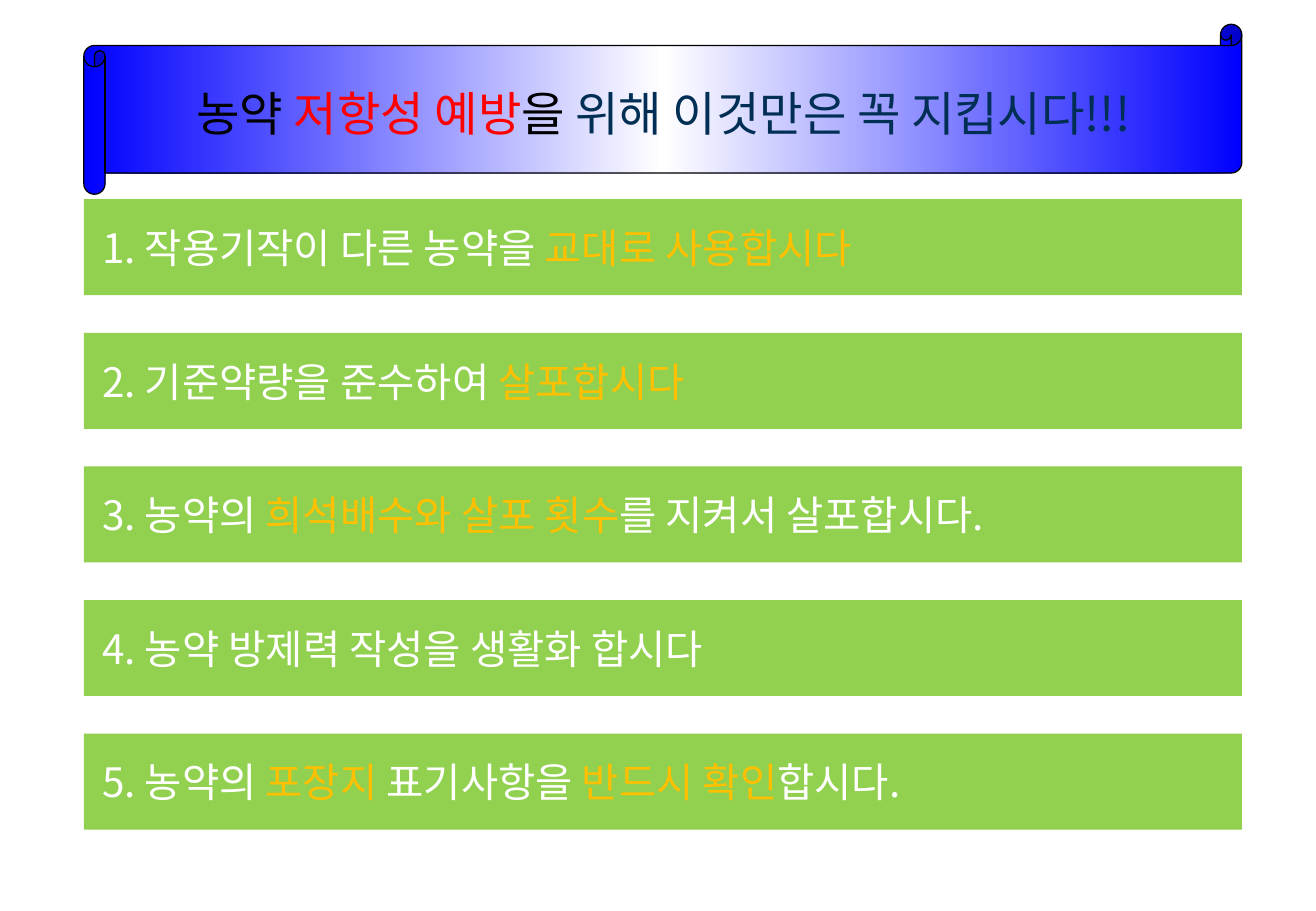
"""Build a slide of five rules for preventing pesticide resistance."""
import copy

import lxml.etree
import pptx
import pptx.dml.color
import pptx.enum.shapes
import pptx.enum.text
import pptx.oxml
import pptx.oxml.ns
import pptx.util

INCH = pptx.util.Inches
SHAPE = pptx.enum.shapes.MSO_SHAPE
ANCHOR = pptx.enum.text.MSO_ANCHOR
ALIGN = pptx.enum.text.PP_ALIGN
FONT = "Noto Sans CJK KR"
HUES = {"white": "FFFFFF", "gold": "FFC000", "green": "92D050", "blue": "0000FF",
        "black": "000000", "red": "FF0000", "navy": "002E54"}
LEFT, WIDTH = 0.69, 9.53
TOP, PITCH, HIGH = 1.64, 1.1, 0.79
GLOW = ('<a:effectLst xmlns:a="http://schemas.openxmlformats.org/drawingml/2006/main">'
        '<a:outerShdw blurRad="50800" dist="38100" dir="2700000">'
        '<a:srgbClr val="000000"><a:alpha val="60000"/></a:srgbClr>'
        '</a:outerShdw></a:effectLst>')

HEAD = [("농약 ", "black"), ("저항성 예방", "red"), ("을 ", "black"),
        ("위해 이것만은 꼭 지킵시다!!!", "navy")]
RULES = [
    [("1. 작용기작이 다른 농약을 ", "white"), ("교대로 사용합시다", "gold")],
    [("2. 기준약량을 준수하여 ", "white"), ("살포합시다", "gold")],
    [("3. 농약의 ", "white"), ("희석배수와 살포 횟수", "gold"),
     ("를 지켜서 살포합시다.", "white")],
    [("4. 농약 방제력 작성을 생활화 합시다", "white")],
    [("5. 농약의 ", "white"), ("포장지", "gold"), (" 표기사항을 ", "white"),
     ("반드시 확인", "gold"), ("합시다.", "white")],
]


def tint(name):
    """Return the named colour."""
    return pptx.dml.color.RGBColor.from_string(HUES[name])


def write(shape, parts, size, align, frame, glow=False):
    """Fill a shape with coloured runs."""
    for key, value in frame.items():
        setattr(shape.text_frame, key, value)
    para = shape.text_frame.paragraphs[0]
    para.alignment = align
    for text, hue in parts:
        run = para.add_run()
        run.text = text
        for key, value in {"name": FONT, "size": pptx.util.Pt(size), "bold": False}.items():
            setattr(run.font, key, value)
        run.font.color.rgb = tint(hue)
        props = run.font._element
        latin = props.find(pptx.oxml.ns.qn("a:latin"))
        lxml.etree.SubElement(props, pptx.oxml.ns.qn("a:ea"), typeface=FONT)
        if glow:
            latin.addprevious(pptx.oxml.parse_xml(GLOW))


deck = pptx.Presentation()
deck.slide_width, deck.slide_height = INCH(10.83), INCH(7.5)
slide = deck.slides.add_slide(deck.slide_layouts[5])
shapes = slide.shapes

frame = {"word_wrap": True, "vertical_anchor": ANCHOR.MIDDLE, "margin_left": INCH(0.15),
         "margin_right": 0, "margin_top": 0, "margin_bottom": 0}
for row, parts in enumerate(RULES):
    bar = shapes.add_shape(SHAPE.RECTANGLE, INCH(LEFT), INCH(TOP + row * PITCH),
                           INCH(WIDTH), INCH(HIGH))
    bar.shadow.inherit = False
    bar.fill.solid()
    bar.fill.fore_color.rgb = tint("green")
    bar.line.fill.background()
    write(bar, parts, 24, ALIGN.LEFT, frame, glow=True)

scroll = shapes.add_shape(SHAPE.HORIZONTAL_SCROLL, INCH(LEFT), INCH(0.2), INCH(WIDTH), INCH(1.4))
scroll.shadow.inherit = False
scroll.adjustments[0] = 0.125
scroll.line.color.rgb = tint("black")
scroll.line.width = pptx.util.Pt(0.75)
scroll.fill.gradient()
scroll.fill.gradient_angle = 0
stops = scroll._element.spPr.find(".//" + pptx.oxml.ns.qn("a:gsLst"))
stops.append(copy.deepcopy(stops[-1]))
for stop, place, hue in zip(scroll.fill.gradient_stops, (0, 0.5, 1), ("blue", "white", "blue")):
    stop.position = place
    stop.color.rgb = tint(hue)

title = shapes.title
for key, value in {"left": 1.05, "top": 0.64, "width": 8.82, "height": 0.57}.items():
    setattr(title, key, INCH(value))
write(title, HEAD, 28, ALIGN.CENTER,
      {"word_wrap": True, "vertical_anchor": ANCHOR.MIDDLE,
       "auto_size": pptx.enum.text.MSO_AUTO_SIZE.NONE})
scroll._element.addnext(title._element)

deck.save("out.pptx")
